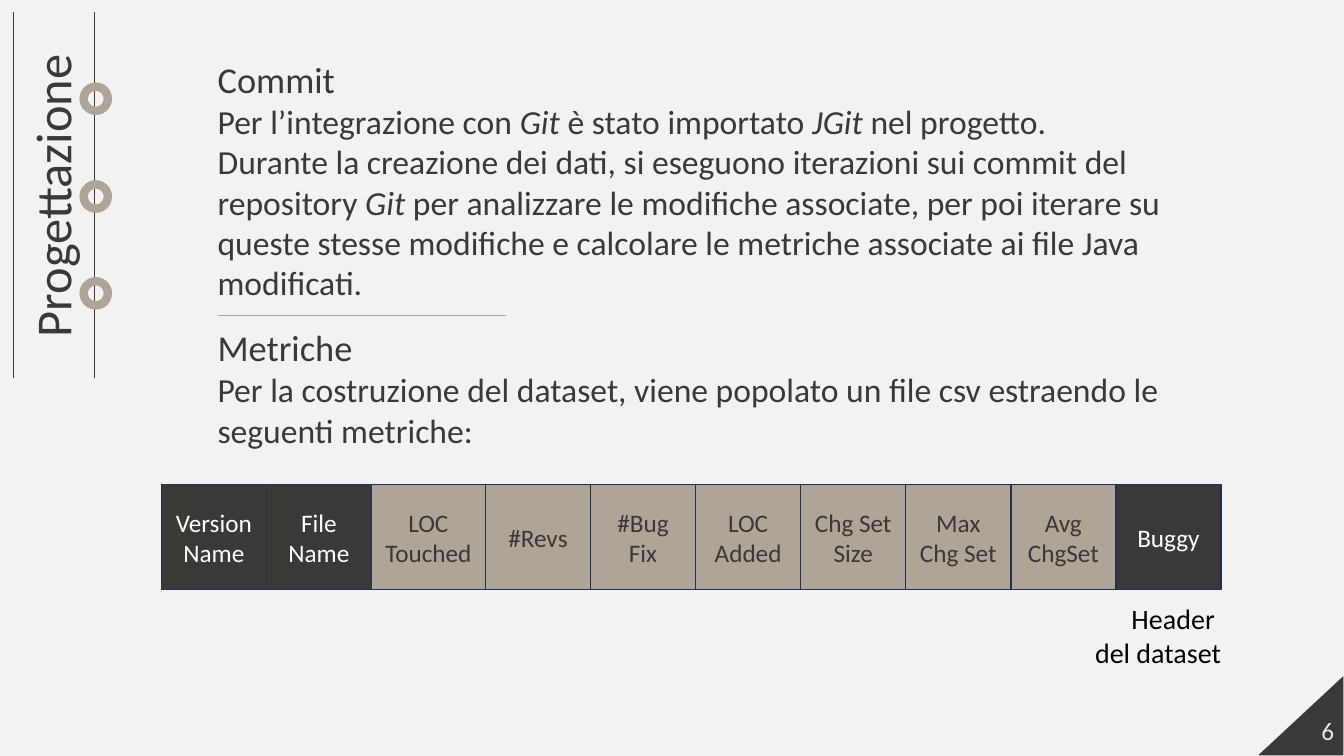
from lxml.etree import SubElement
from pptx import Presentation
from pptx.dml.color import RGBColor
from pptx.enum.shapes import MSO_CONNECTOR as Connector, MSO_SHAPE as Shape
from pptx.enum.text import MSO_ANCHOR as Anchor, PP_ALIGN as Align
from pptx.oxml.ns import qn
from pptx.util import Inches, Pt

PAPER = RGBColor(0xF2, 0xF2, 0xF2)
DARK = RGBColor(0x3B, 0x38, 0x38)
TAUPE = RGBColor(0xAE, 0xA4, 0x98)
NAVY = RGBColor(0x1E, 0x32, 0x56)
WHITE = RGBColor(0xFF, 0xFF, 0xFF)
BLACK = RGBColor(0x00, 0x00, 0x00)
PALE = RGBColor(0xEB, 0xE4, 0xE3)


class SlideBuilder:
    font = "Calibri"

    def __init__(self, slide):
        self.shapes = slide.shapes

    def set_text(self, shape, paragraphs, color, align=Align.LEFT, anchor=Anchor.TOP):
        """Fill a shape with (text, size) paragraphs; *asterisks* mark italics."""
        frame = shape.text_frame
        frame.word_wrap = True
        frame.vertical_anchor = anchor
        for index, (text, size) in enumerate(paragraphs):
            paragraph = frame.add_paragraph() if index else frame.paragraphs[0]
            paragraph.alignment = align
            paragraph.font.name = self.font
            paragraph.font.size = Pt(size)
            paragraph.font.color.rgb = color
            for part, words in enumerate(text.split("*")):
                run = paragraph.add_run()
                run.text = words
                if part % 2:
                    run.font.italic = True

    def text(self, left, top, width, height, paragraphs, color, **layout):
        box = self.shapes.add_textbox(
            Inches(left), Inches(top), Inches(width), Inches(height))
        self.set_text(box, paragraphs, color, **layout)
        return box

    def shape(self, kind, left, top, width, height, fill, line, weight=1):
        shape = self.shapes.add_shape(
            kind, Inches(left), Inches(top), Inches(width), Inches(height))
        shape.shadow.inherit = False
        if fill is None:
            shape.fill.background()
        else:
            shape.fill.solid()
            shape.fill.fore_color.rgb = fill
        shape.line.color.rgb = line
        shape.line.width = Pt(weight)
        return shape

    def line(self, x1, y1, x2, y2, color):
        line = self.shapes.add_connector(
            Connector.STRAIGHT, Inches(x1), Inches(y1), Inches(x2), Inches(y2))
        line.line.color.rgb = color
        line.line.width = Pt(0.5)
        SubElement(line._element.spPr, qn("a:effectLst"))


def main():
    deck = Presentation()
    deck.slide_width, deck.slide_height = Inches(13.33), Inches(7.5)
    page = SlideBuilder(deck.slides.add_slide(deck.slide_layouts[6]))
    page.shape(Shape.RECTANGLE, 0, 0, 13.33, 7.5, PAPER, PAPER)

    # Side title with rails and rings
    for rail_x in (0.13, 0.94):
        page.line(rail_x, 3.75, rail_x, 0.12, DARK)
    for ring_top in (0.86, 1.83, 2.79):
        page.shape(Shape.OVAL, 0.83, ring_top, 0.24, 0.24, None, TAUPE, 6)
    title = page.text(-0.94, 1.44, 3.21, 1.01, [("Progettazione", 36)], DARK,
                      align=Align.CENTER)
    title.rotation = 270

    # Body sections
    page.text(2.06, 0.52, 9.55, 2.56, [
        ("Commit", 26),
        ("Per l’integrazione con *Git* è stato importato *JGit* nel progetto.", 24),
        ("Durante la creazione dei dati, si eseguono iterazioni sui commit del "
         "repository *Git* per analizzare le modifiche associate, per poi iterare "
         "su queste stesse modifiche e calcolare le metriche associate ai file "
         "Java modificati.", 24),
    ], DARK)
    page.line(2.16, 3.13, 5.02, 3.13, TAUPE)
    page.text(2.06, 3.18, 9.66, 1.82, [
        ("Metriche", 26),
        ("Per la costruzione del dataset, viene popolato un file csv estraendo "
         "le seguenti metriche:", 24),
    ], DARK)

    # Dataset header: dark cells identify and label, taupe cells are metrics
    columns = [
        (["Version", "Name"], DARK), (["File", "Name"], DARK),
        (["LOC", "Touched"], TAUPE), (["#Revs"], TAUPE), (["#Bug Fix"], TAUPE),
        (["LOC", "Added"], TAUPE), (["Chg Set", "Size"], TAUPE),
        (["Max Chg Set"], TAUPE), (["Avg", "ChgSet"], TAUPE), (["Buggy"], DARK),
    ]
    left, header_width, wide = 1.6, 10.51, 1.13
    narrow = (header_width - wide) / (len(columns) - 1)
    for words, fill in columns:
        width = wide if "Touched" in words else narrow
        cell = page.shape(Shape.RECTANGLE, left, 4.81, width, 1.04, fill, NAVY)
        page.set_text(cell, [(word, 18) for word in words],
                      WHITE if fill == DARK else DARK,
                      align=Align.CENTER, anchor=Anchor.MIDDLE)
        left += width
    page.text(10.7, 5.92, 1.51, 0.77, [("Header ", 20), ("del dataset", 20)],
              BLACK, align=Align.RIGHT)

    # Page corner
    corner = page.shape(Shape.ISOSCELES_TRIANGLE, 12.46, 6.69, 0.87, 0.81, DARK, PAPER)
    corner.adjustments[0] = 1
    page.text(10.33, 7.05, 3, 0.4, [("6", 18)], PALE,
              align=Align.RIGHT, anchor=Anchor.MIDDLE)

    deck.save("out.pptx")


if __name__ == "__main__":
    main()
